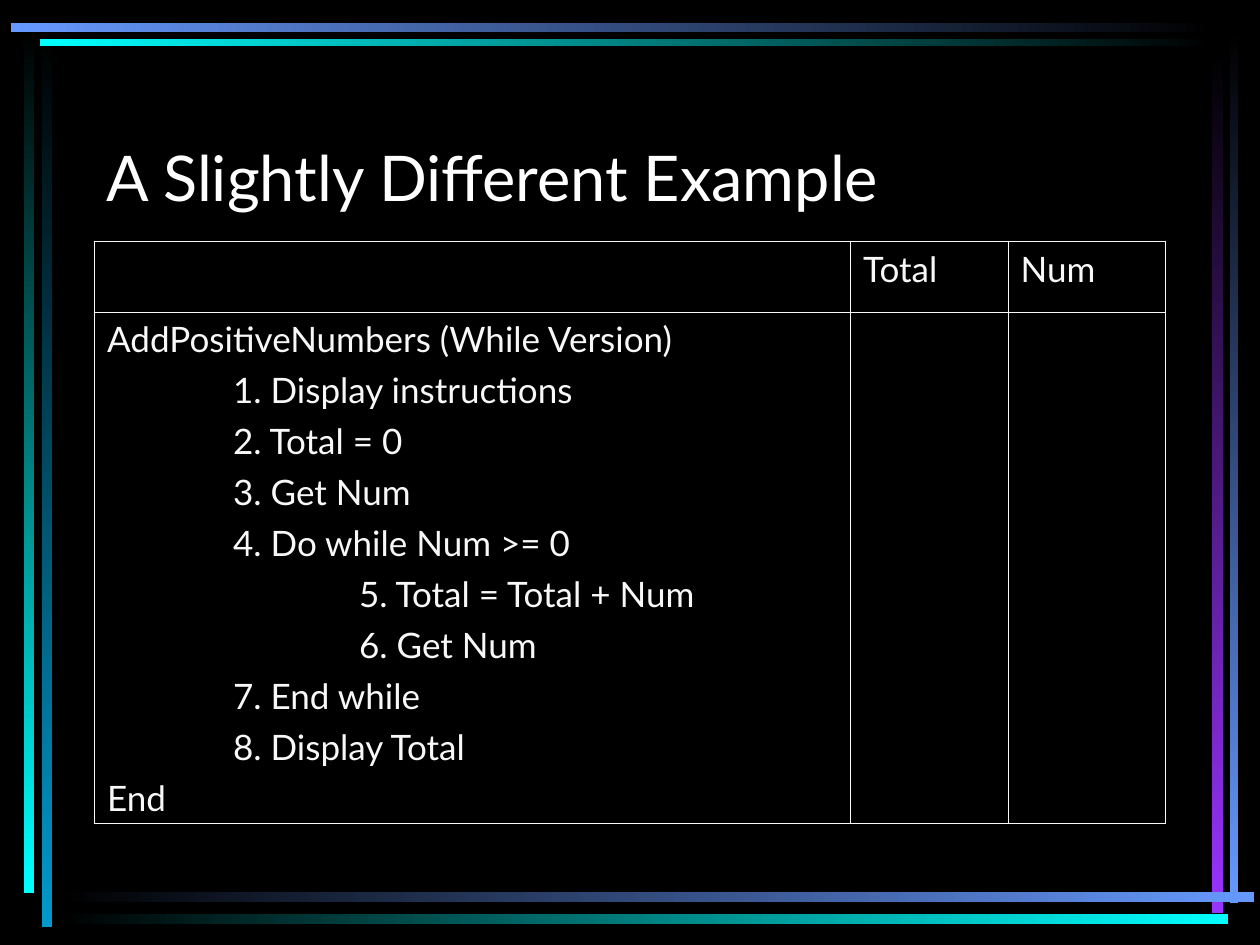
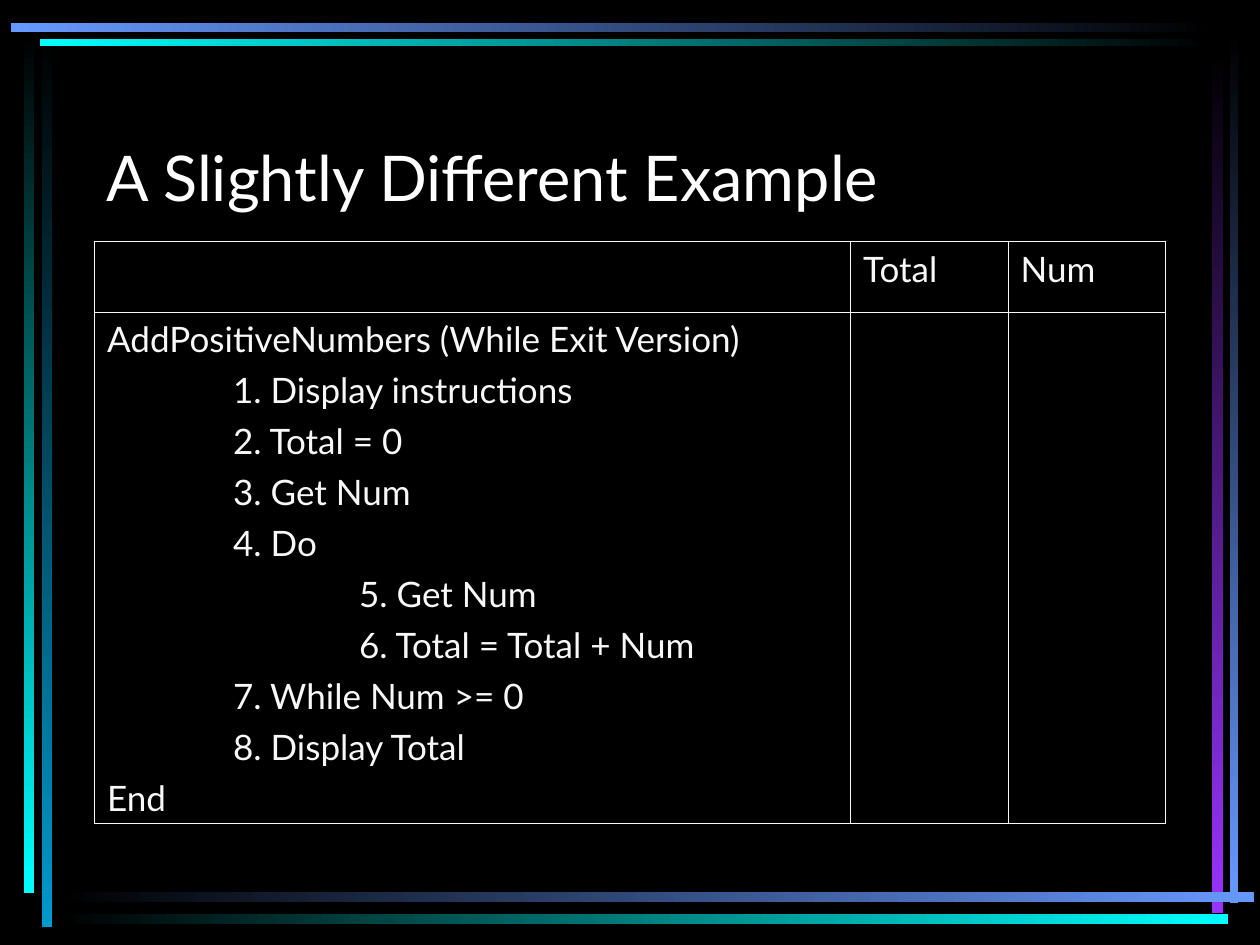
from lxml import etree
from pptx import Presentation
from pptx.dml.color import RGBColor
from pptx.enum.shapes import MSO_SHAPE
from pptx.enum.text import MSO_ANCHOR
from pptx.oxml.ns import qn
from pptx.util import Pt

RECTANGLE = MSO_SHAPE.RECTANGLE
BOTTOM = MSO_ANCHOR.BOTTOM

BLACK, WHITE, TABLE_WHITE = "000000", "FFFFFF", "F8F8F8"
CYAN, BLUE, TEAL, PURPLE = "00FFFF", "6699FF", "0099CC", "9933FF"
RIGHTWARD, DOWNWARD = 0, 270  # gradient angles, counter-clockwise
OUTER_LINE, INNER_LINE = 1.08, 0.45
INDENT_STEP = 72

# Frame bars: left, top, width, height, first colour, last colour
FRAME_BARS = [
    (23.8, 20.2, 5.8, 509.8, BLACK, TEAL),
    (13.7, 18, 5.8, 492.5, BLACK, CYAN),
    (702.7, 17.3, 5, 499, BLACK, BLUE),
    (692.6, 30.2, 6.5, 491.8, BLACK, PURPLE),
    (32.4, 509.8, 684, 5.8, BLACK, BLUE),
    (32.4, 522, 669.6, 5.8, BLACK, CYAN),
    (23, 22.2, 671, 4.3, CYAN, BLACK),
    (6.1, 13.3, 688.3, 5, BLUE, BLACK),
]

TITLE = "A Slightly Different Example"
HEADERS = ["", "Total", "Num"]

# Each algorithm line: indent level, text
WHILE_VERSION = [
    (0, "AddPositiveNumbers (While Version)"),
    (1, "1. Display instructions"),
    (1, "2. Total = 0"),
    (1, "3. Get Num"),
    (1, "4. Do while Num >= 0"),
    (2, "5. Total = Total + Num"),
    (2, "6. Get Num"),
    (1, "7. End while"),
    (1, "8. Display Total"),
    (0, "End"),
]
WHILE_EXIT_VERSION = [
    (0, "AddPositiveNumbers (While Exit Version)"),
    *WHILE_VERSION[1:4],
    (1, "4. Do"),
    (2, "5. Get Num"),
    (2, "6. Total = Total + Num"),
    (1, "7. While Num >= 0"),
    *WHILE_VERSION[8:],
]


def color(hex_string):
    return RGBColor.from_string(hex_string)


class Deck:
    """Holds the shared style and the current slide."""

    font_name = "Lato"

    def __init__(self):
        self.presentation = Presentation()
        self.presentation.slide_width = Pt(720)
        self.presentation.slide_height = Pt(540)
        self.slide = None

    def add_slide(self):
        self.slide = self.presentation.slides.add_slide(self.presentation.slide_layouts[6])
        background = self.slide.background.fill
        background.solid()
        background.fore_color.rgb = color(BLACK)
        for bar in FRAME_BARS:
            self.add_bar(*bar)

    def add_bar(self, left, top, width, height, first, last):
        shape = self.slide.shapes.add_shape(RECTANGLE, Pt(left), Pt(top), Pt(width), Pt(height))
        shape.shadow.inherit = False
        shape.line.fill.background()
        shape.fill.gradient()
        shape.fill.gradient_angle = RIGHTWARD if width > height else DOWNWARD
        for stop, hex_string in zip(shape.fill.gradient_stops, (first, last)):
            stop.color.rgb = color(hex_string)

    def add_title(self, text):
        box = self.slide.shapes.add_textbox(Pt(54), Pt(48), Pt(612), Pt(78))
        box.text_frame.word_wrap = True
        box.text_frame.vertical_anchor = BOTTOM
        self.add_lines(box.text_frame, [(0, text)], 36, WHITE)

    def add_lines(self, text_frame, lines, size, hex_string):
        for index, (level, text) in enumerate(lines):
            paragraph = text_frame.add_paragraph() if index else text_frame.paragraphs[0]
            paragraph.text = text
            if index:
                paragraph.space_before = Pt(5)
            if level:
                paragraph._p.get_or_add_pPr().set("marL", str(Pt(INDENT_STEP * level)))
            paragraph.font.name = self.font_name
            paragraph.font.size = Pt(size)
            paragraph.font.color.rgb = color(hex_string)

    def add_trace_table(self, algorithm):
        widths, heights = [432, 90, 90], [40.3, 292.3]
        table = self.slide.shapes.add_table(
            len(heights), len(widths), Pt(54), Pt(138), Pt(sum(widths)), Pt(sum(heights))
        ).table
        table.first_row = table.horz_banding = False
        for column, width in zip(table.columns, widths):
            column.width = Pt(width)
        for row, height in zip(table.rows, heights):
            row.height = Pt(height)

        contents = [[[(0, header)] for header in HEADERS], [algorithm, [(0, "")], [(0, "")]]]
        for row_index, row_contents in enumerate(contents):
            for column_index, lines in enumerate(row_contents):
                cell = table.cell(row_index, column_index)
                cell.fill.background()
                self.add_lines(cell.text_frame, lines, 20, TABLE_WHITE)
                self.add_borders(cell, {
                    "a:lnL": column_index == 0,
                    "a:lnR": column_index == len(widths) - 1,
                    "a:lnT": row_index == 0,
                    "a:lnB": row_index == len(heights) - 1,
                })

    def add_borders(self, cell, outer_sides):
        properties = cell._tc.get_or_add_tcPr()
        for position, (tag, is_outer) in enumerate(outer_sides.items()):
            line = etree.Element(qn(tag), w=str(Pt(OUTER_LINE if is_outer else INNER_LINE)))
            fill = etree.SubElement(line, qn("a:solidFill"))
            etree.SubElement(fill, qn("a:srgbClr"), val=TABLE_WHITE)
            properties.insert(position, line)


def main():
    deck = Deck()
    for algorithm in (WHILE_VERSION, WHILE_EXIT_VERSION):
        deck.add_slide()
        deck.add_title(TITLE)
        deck.add_trace_table(algorithm)
    deck.presentation.save("out.pptx")


if __name__ == "__main__":
    main()
